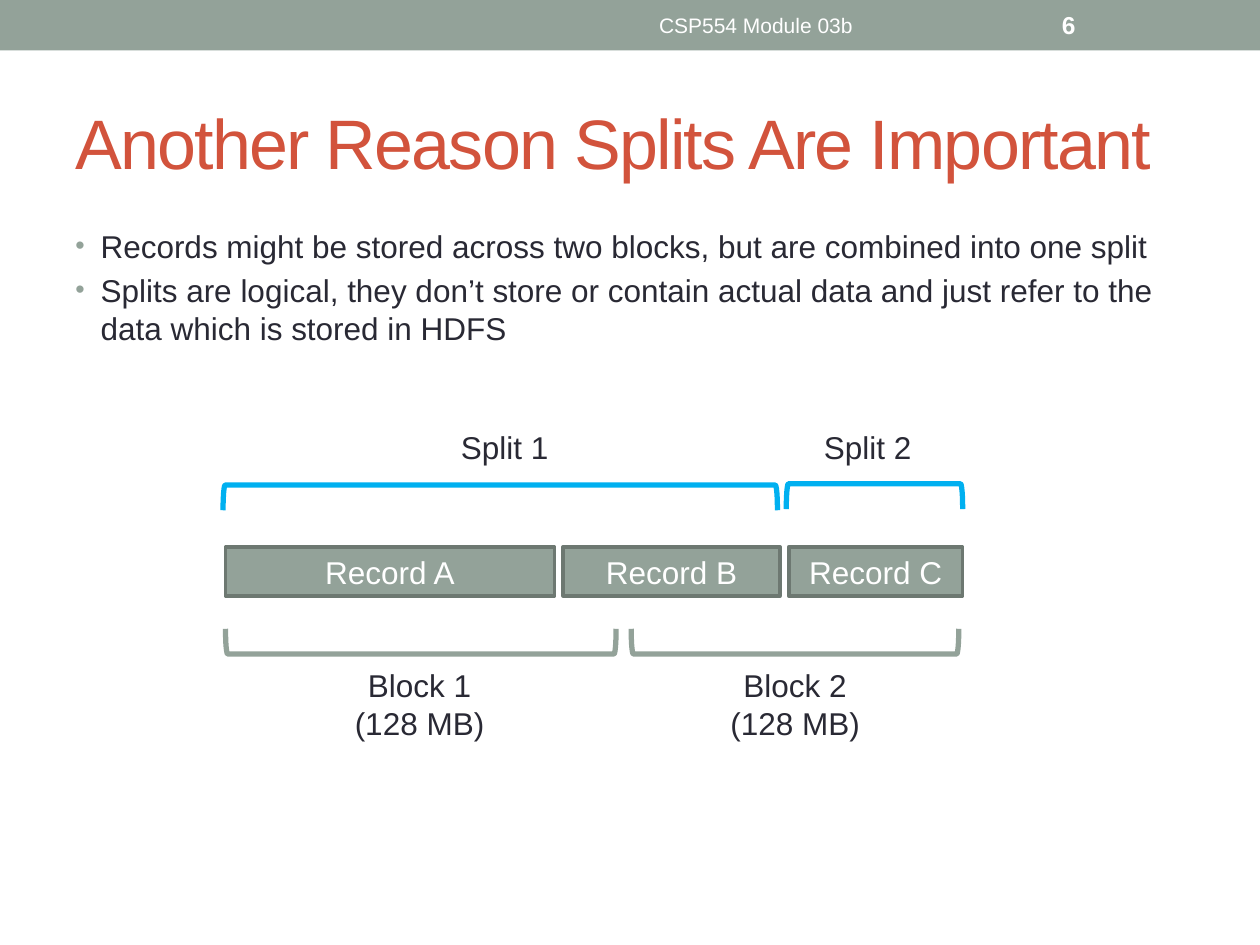
from lxml import etree
from pptx import Presentation
from pptx import util as u
from pptx.dml.color import RGBColor
from pptx.enum import shapes, text
from pptx.oxml.ns import qn

SAGE = RGBColor(0x93, 0xA2, 0x99)
DARK_SAGE = RGBColor(0x6D, 0x78, 0x71)
RED = RGBColor(0xD2, 0x53, 0x3C)
BLUE = RGBColor(0x00, 0xB0, 0xF0)
INK = RGBColor(0x29, 0x29, 0x34)
WHITE = RGBColor(0xFF, 0xFF, 0xFF)
MIDDLE = text.MSO_ANCHOR.MIDDLE
TOP = text.MSO_ANCHOR.TOP
LEFT = text.PP_ALIGN.LEFT
CENTER = text.PP_ALIGN.CENTER


def write(sp, lines, size, color, align=LEFT, anchor=TOP, wrap=True, bold=False):
    tf = sp.text_frame
    tf.word_wrap = wrap
    tf.vertical_anchor = anchor
    tf.text = "\n".join(lines)
    for p in tf.paragraphs:
        p.alignment = align
        for r in p.runs:
            r.font.name = "Arial"
            r.font.size = u.Pt(size)
            r.font.bold = bold
            r.font.color.rgb = color
    return tf


def add_text(s, box, lines, size, color, **style):
    sp = s.shapes.add_textbox(*map(u.Inches, box))
    return write(sp, lines, size, color, **style)


def add_bullet(p):
    pPr = p._p.get_or_add_pPr()
    pPr.set("marL", str(u.Inches(0.2)))
    pPr.set("indent", str(u.Inches(-0.2)))
    color = etree.SubElement(pPr, qn("a:buClr"))
    etree.SubElement(color, qn("a:srgbClr"), val=str(SAGE))
    etree.SubElement(pPr, qn("a:buSzPct"), val="85000")
    etree.SubElement(pPr, qn("a:buFont"), typeface="Arial")
    etree.SubElement(pPr, qn("a:buChar"), char="•")


def add_rect(s, box, line=None):
    sp = s.shapes.add_shape(shapes.MSO_SHAPE.RECTANGLE, *map(u.Inches, box))
    sp.shadow.inherit = False
    sp.fill.solid()
    sp.fill.fore_color.rgb = SAGE
    if line is None:
        sp.line.fill.background()
    else:
        sp.line.color.rgb = line
        sp.line.width = u.Pt(2.08)
    return sp


def add_bracket(s, left, top, span, rotation, color):
    """Lay a left bracket on its side so that it covers span from left."""
    depth = 0.2
    shift = (span - depth) / 2
    box = (left + shift, top - shift, depth, span)
    sp = s.shapes.add_shape(shapes.MSO_SHAPE.LEFT_BRACKET, *map(u.Inches, box))
    sp.rotation = rotation
    sp.shadow.inherit = False
    sp.fill.background()
    sp.line.color.rgb = color
    sp.line.width = u.Pt(3)


def main():
    prs = Presentation()
    prs.slide_width, prs.slide_height = u.Inches(10), u.Inches(7.5)
    s = prs.slides.add_slide(prs.slide_layouts[6])

    # Header band
    add_rect(s, (0, 0, 10, 0.4))
    add_text(s, (3.75, 0.02, 4.5, 0.36), ["CSP554 Module 03b"], 12, WHITE,
             align=CENTER, anchor=MIDDLE)
    add_text(s, (8.33, 0.02, 1.17, 0.36), ["6"], 14, WHITE,
             anchor=MIDDLE, bold=True)

    # Title, with slightly tightened letters
    title = add_text(s, (0.5, 0.58, 9, 1.08),
                     ["Another Reason Splits Are Important"], 40, RED,
                     anchor=MIDDLE)
    title.paragraphs[0].runs[0].font._element.set("spc", "-100")

    # Bullets
    body = add_text(s, (0.5, 1.75, 9, 1.9), [
        "Records might be stored across two blocks, but are combined into one split",
        "Splits are logical, they don’t store or contain actual data and just "
        "refer to the data which is stored in HDFS",
    ], 18, INK)
    for p in body.paragraphs:
        add_bullet(p)
    body.paragraphs[1].space_before = u.Pt(3.6)

    # Records
    for name, left, width in (("A", 1.79, 2.61), ("B", 4.47, 1.72), ("C", 6.26, 1.38)):
        sp = add_rect(s, (left, 4.34, width, 0.39), DARK_SAGE)
        write(sp, [f"Record {name}"], 18, WHITE, align=CENTER, anchor=MIDDLE)

    # Splits above the records
    for name, left, top, span, label_left in (
            ("Split 1", 1.77, 3.85, 4.4, 3.56), ("Split 2", 6.24, 3.84, 1.4, 6.44)):
        add_bracket(s, left, top, span, 90, BLUE)
        add_text(s, (label_left, 3.35, 0.9, 0.4), [name], 18, INK, wrap=False)

    # Blocks below the records
    for name, left, span, label_left in (
            ("Block 1", 1.79, 3.1, 2.71), ("Block 2", 5.01, 2.6, 5.69)):
        add_bracket(s, left, 4.99, span, 270, SAGE)
        add_text(s, (label_left, 5.24, 1.24, 0.71), [name, "(128 MB)"], 18, INK,
                 align=CENTER, wrap=False)

    prs.save("out.pptx")


if __name__ == "__main__":
    main()
